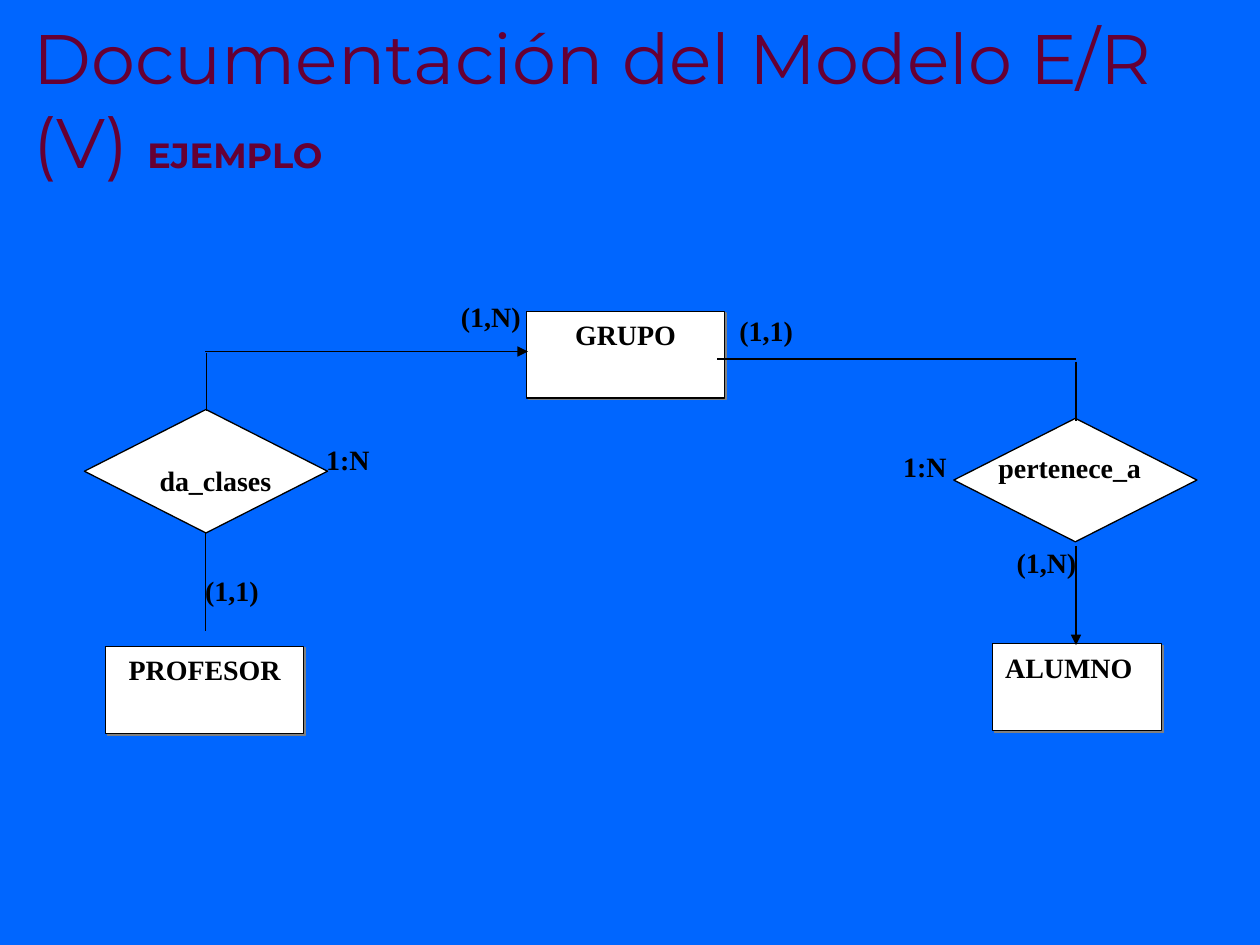
from lxml.etree import SubElement
from pptx import Presentation
from pptx.dml.color import RGBColor
from pptx.enum.shapes import MSO_CONNECTOR as Link, MSO_SHAPE as Form
from pptx.enum.text import MSO_ANCHOR as Anchor, PP_ALIGN as Align
from pptx.oxml import parse_xml
from pptx.oxml.ns import nsdecls, qn
from pptx.util import Pt

PX = 9144  # 100 px to the inch
hue = RGBColor.from_string
INK, PAPER, PLUM = "000000", "FFFFFF", "660033"


def scale(*nums):
    return [n * PX for n in nums]


def write(frame, text, size=16, font="Times New Roman", color=INK, bold=True,
          align=Align.LEFT, anchor=Anchor.TOP):
    frame.word_wrap = True
    frame.vertical_anchor = anchor
    par = frame.paragraphs[0]
    par.alignment = align
    run = par.add_run()
    run.text = text
    run.font.size = Pt(size)
    run.font.name = font
    run.font.bold = bold
    run.font.color.rgb = hue(color)


deck = Presentation()
deck.slide_width, deck.slide_height = scale(1000, 750)
slide = deck.slides.add_slide(deck.slide_layouts[6])
slide.background.fill.solid()
slide.background.fill.fore_color.rgb = hue("0066FF")
shapes = slide.shapes

# Title
title = shapes.add_textbox(*scale(17, 25, 983, 125)).text_frame
for text, size, bold in [("Documentación del Modelo E/R (V) ", 40, False),
                         ("EJEMPLO", 20, True)]:
    write(title, text, size=size, font="Montserrat", color=PLUM, bold=bold,
          anchor=Anchor.BOTTOM)

# Entities and relationships
nodes = [
    (Form.RECTANGLE, 84, 513, 157, 69, "PROFESOR", Align.CENTER),
    (Form.RECTANGLE, 788, 511, 134, 69, "ALUMNO", Align.LEFT),
    (Form.RECTANGLE, 418, 247, 157, 69, "GRUPO", Align.CENTER),
    (Form.FLOWCHART_DECISION, 67, 325, 193, 98, "", Align.CENTER),
    (Form.FLOWCHART_DECISION, 757, 332, 193, 98, "", Align.CENTER),
]
for form, x, y, w, h, text, align in nodes:
    node = shapes.add_shape(form, *scale(x, y, w, h))
    node.shadow.inherit = False
    node.fill.solid()
    node.fill.fore_color.rgb = hue(PAPER)
    node.line.color.rgb = hue(INK)
    node.line.width = Pt(0.75)
    if text:
        write(node.text_frame, text, align=align)
        glow = node._element.spPr.find(qn("a:effectLst"))
        glow.append(parse_xml(
            f'<a:outerShdw {nsdecls("a")} dist="{Pt(1.4)}" dir="2700000" '
            'algn="ctr" rotWithShape="0"><a:srgbClr val="808080"/>'
            '</a:outerShdw>'))

# Links, some with an arrowhead
links = [
    (164, 280, 164, 326, False),
    (163, 279, 419, 279, True),
    (163, 422, 163, 501, False),
    (854, 287, 854, 334, False),
    (854, 285, 569, 285, False),
    (854, 433, 854, 512, True),
]
for *ends, arrow in links:
    link = shapes.add_connector(Link.STRAIGHT, *scale(*ends))
    link.line.color.rgb = hue(INK)
    link.line.width = Pt(0.75)
    if arrow:
        SubElement(link.line._get_or_add_ln(), qn("a:tailEnd"), type="triangle")
    SubElement(link._element.spPr, qn("a:effectLst"))

# Relationship names and cardinalities
labels = [
    ("da_clases", 96, 363, 150, 59, Align.CENTER),
    ("pertenece_a", 774, 353, 150, 59, Align.CENTER),
    ("(1,N)", 356, 233, 75, 79, Align.LEFT),
    ("(1,1)", 153, 450, 75, 79, Align.LEFT),
    ("(1,N)", 797, 428, 75, 79, Align.LEFT),
    ("1:N", 249, 346, 91, 79, Align.LEFT),
    ("1:N", 707, 352, 75, 59, Align.LEFT),
    ("(1,1)", 577, 244, 75, 79, Align.LEFT),
]
for text, x, y, w, h, align in labels:
    label = shapes.add_textbox(*scale(x, y, w, h))
    write(label.text_frame, text, align=align)

deck.save("out.pptx")
